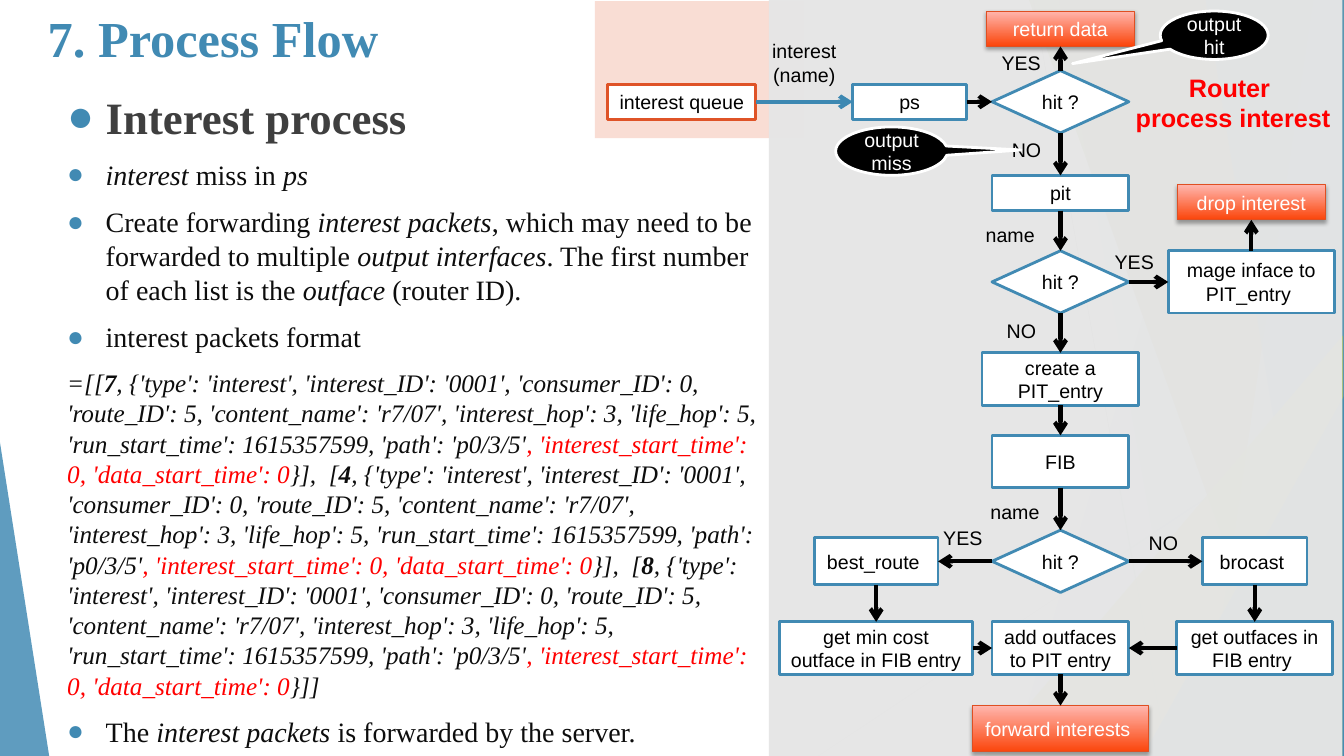
from lxml import etree
from pptx import Presentation
from pptx import util as u
from pptx.dml.color import RGBColor
from pptx.enum import shapes, text
from pptx.oxml import ns

Cm, Pt = u.Cm, u.Pt
SHAPE = shapes.MSO_SHAPE
CENTER = text.PP_ALIGN.CENTER
JUSTIFY = text.PP_ALIGN.JUSTIFY
BLUE = RGBColor(0x41, 0x8A, 0xB3)
ARROW_BLUE = RGBColor(0x3D, 0x88, 0xB2)
PALE_BLUE = RGBColor(0x89, 0xB8, 0xD4)
LIME = RGBColor(0xA6, 0xB7, 0x27)
OLIVE = RGBColor(0x7C, 0x89, 0x1D)
ORANGE = RGBColor(0xDF, 0x53, 0x27)
ORANGE_EDGE = RGBColor(0xDF, 0x4F, 0x22)
ORANGE_DEEP = RGBColor(0xFB, 0x45, 0x0B)
ORANGE_PALE = RGBColor(0xFF, 0xB6, 0xAE)
PINK = RGBColor(0xF9, 0xDD, 0xD4)
GREY = RGBColor(0xE6, 0xE6, 0xE6)
RULE_DARK = RGBColor(0xBF, 0xBF, 0xBF)
RULE_LIGHT = RGBColor(0xD8, 0xD8, 0xD8)
HEADING = RGBColor(0x3F, 0x3F, 0x3F)
INK = RGBColor(0x0D, 0x0D, 0x0D)
RED = RGBColor(0xFF, 0, 0)
BLACK = RGBColor(0, 0, 0)
WHITE = RGBColor(0xFF, 0xFF, 0xFF)
SERIF, SANS = "Times New Roman", "Arial"

FACETS = [(31.19, 25.5, BLUE, 29), (26.67, 30.05, BLUE, 20), (25.93, 32.79, OLIVE, 69),
          (33.1, 30.28, PALE_BLUE, 69), (30.38, 33.48, BLUE, 64)]
TRIANGLES = [(24.82, 8.46, 9.02, 10.59, LIME, 71, 1), (28.8, 9.98, 5.07, 9.07, BLUE, 80, 1),
             (0, 11.15, 1.24, 7.9, BLUE, 84, 0)]
STEPS = {
    "queue": ("interest queue", 15.32, 2.12, 3.73, 0.89),
    "ps": ("ps", 21.49, 2.12, 2.87, 0.89),
    "pit": ("pit", 25, 4.42, 3.45, 0.89),
    "mage": ("mage inface to PIT_entry ", 29.44, 6.32, 4.19, 1.57),
    "create": ("create a PIT_entry", 24.75, 8.89, 3.95, 1.32),
    "fib": ("FIB", 25, 10.97, 3.45, 1.32),
    "best": ("best_route ", 20.52, 13.55, 3.12, 1.19),
    "brocast": ("brocast ", 30.3, 13.55, 2.64, 1.19),
    "min cost": ("get min cost outface in FIB entry ", 19.64, 15.67, 4.88, 1.32),
    "add": ("add outfaces to PIT entry", 25, 15.67, 3.45, 1.32),
    "outfaces": ("get outfaces in FIB entry ", 29.65, 15.67, 3.94, 1.32),
}
DECISIONS = {"ps hit": 1.78, "pit hit": 6.32, "fib hit": 13.36}
RESULTS = {
    "return": ("return data", 24.86, 0.28, 3.73, 0.89),
    "drop": ("drop interest", 29.67, 4.65, 3.73, 0.89),
    "forward": ("forward interests ", 24.51, 17.78, 4.43, 1.17),
}
TOP, LEFT, BOTTOM, RIGHT = range(4)
FLOWS = [("ps", RIGHT, "ps hit", LEFT), ("ps hit", TOP, "return", BOTTOM),
         ("ps hit", BOTTOM, "pit", TOP), ("pit", BOTTOM, "pit hit", TOP),
         ("pit hit", RIGHT, "mage", LEFT), ("mage", TOP, "drop", BOTTOM),
         ("pit hit", BOTTOM, "create", TOP), ("create", BOTTOM, "fib", TOP),
         ("fib", BOTTOM, "fib hit", TOP), ("fib hit", LEFT, "best", RIGHT),
         ("fib hit", RIGHT, "brocast", LEFT), ("best", BOTTOM, "min cost", TOP),
         ("brocast", BOTTOM, "outfaces", TOP), ("min cost", RIGHT, "add", LEFT),
         ("outfaces", LEFT, "add", RIGHT), ("add", BOTTOM, "forward", TOP)]
LABELS = [("YES", 24.99, 1.17, 1.6), ("NO", 25.25, 3.35, 1.32), ("name", 24.59, 5.49, 1.88),
          ("YES", 27.84, 6.17, 1.6), ("NO", 25.12, 7.9, 1.32), ("name", 24.71, 12.47, 1.88),
          ("YES", 23.52, 13.13, 1.6), ("NO", 28.7, 13.26, 1.32)]
CALLOUTS = [("output miss", 21.06, 3.2, 2.82, 1.157, -0.024),
            ("output hit", 29.24, 0.28, 2.72, -1.313, 0.586)]
PACKET = (", {'type': 'interest', 'interest_ID': '0001', 'consumer_ID': 0, 'route_ID': 5, "
          "'content_name': 'r7/07', 'interest_hop': 3, 'life_hop': 5, "
          "'run_start_time': 1615357599, 'path': 'p0/3/5'")
TIMES = ", 'interest_start_time': 0, 'data_start_time': 0"


def add_xml(parent, tag, **attributes):
    """Append a DrawingML element."""
    return etree.SubElement(parent, ns.qn(tag), attributes)


def add_span(para, words, size, color, font=SANS, bold=False, italic=False):
    """Add one formatted run."""
    span = para.add_run()
    span.text = words
    span.font.size, span.font.name = Pt(size), font
    span.font.bold, span.font.italic = bold, italic
    span.font.color.rgb = color


def paint(box, fill, line=None, alpha=None, weight=2):
    """Set fill, outline and transparency of a shape."""
    box.shadow.inherit = False
    box.fill.solid()
    box.fill.fore_color.rgb = fill
    if alpha is not None:
        color = box._element.spPr.find(".//" + ns.qn("a:srgbClr"))
        add_xml(color, "a:alpha", val=str(alpha * 1000))
    if line is None:
        box.line.fill.background()
    else:
        box.line.color.rgb, box.line.width = line, Pt(weight)


def add_box(page, kind, left, top, width, height, fill, line=None, alpha=None):
    """Add a painted preset shape."""
    box = page.shapes.add_shape(kind, Cm(left), Cm(top), Cm(width), Cm(height))
    paint(box, fill, line, alpha)
    return box


def write(box, words, color=BLACK):
    """Centre a caption in a shape."""
    frame = box.text_frame
    frame.word_wrap, frame.vertical_anchor = True, text.MSO_ANCHOR.MIDDLE
    frame.paragraphs[0].alignment = CENTER
    add_span(frame.paragraphs[0], words, 14, color)


def add_label(page, lines, left, top, width, height=0.86, size=14, color=BLACK,
              bold=False, align=None):
    """Add a text box with one paragraph per line."""
    frame = page.shapes.add_textbox(Cm(left), Cm(top), Cm(width), Cm(height)).text_frame
    frame.word_wrap = True
    for index, words in enumerate(lines):
        para = frame.add_paragraph() if index else frame.paragraphs[0]
        para.alignment = align
        add_span(para, words, size, color, bold=bold)


def add_line(page, ends, color, weight):
    """Add a straight connector without shadow."""
    line = page.shapes.add_connector(shapes.MSO_CONNECTOR.STRAIGHT, *map(Cm, ends))
    line.line.color.rgb, line.line.width = color, Pt(weight)
    add_xml(line._element.spPr, "a:effectLst")
    return line


def add_flow(page, start, start_side, end, end_side, color=BLACK):
    """Join two nodes with an arrow."""
    flow = add_line(page, (0, 0, 1, 1), color, 3)
    flow.begin_connect(start, start_side)
    flow.end_connect(end, end_side)
    add_xml(flow.line._get_or_add_ln(), "a:tailEnd", type="arrow")


def add_result(page, words, *place):
    """Add a glossy orange result box."""
    box = add_box(page, SHAPE.RECTANGLE, *place, ORANGE_DEEP)
    box.fill.gradient()
    box.fill.gradient_angle = 90
    for stop, color in zip(box.fill.gradient_stops, (ORANGE_DEEP, ORANGE_PALE)):
        stop.color.rgb = color
    box.line.color.rgb, box.line.width = ORANGE_EDGE, Pt(0.75)
    effects = box._element.spPr.find(ns.qn("a:effectLst"))
    shadow = add_xml(effects, "a:outerShdw", blurRad=str(Pt(3.1)), dist=str(Pt(1.8)),
                     dir="5400000", rotWithShape="0")
    add_xml(add_xml(shadow, "a:srgbClr", val="000000"), "a:alpha", val="35000")
    write(box, words, WHITE)
    return box


def add_backdrop(page):
    """Draw the faceted background and the two panels."""
    add_line(page, (26.04, 0, 29.41, 19.05), RULE_DARK, 0.75)
    add_line(page, (33.87, 10.24, 20.62, 19.05), RULE_LIGHT, 0.75)
    for top_x, bottom_x, color, alpha in FACETS:
        outline = page.shapes.build_freeform(Cm(top_x), 0)
        outline.add_line_segments([(Cm(33.87), 0), (Cm(33.87), Cm(19.05)),
                                   (Cm(bottom_x), Cm(19.05))])
        paint(outline.convert_to_shape(), color, alpha=alpha)
    for *place, color, alpha, tip in TRIANGLES:
        add_box(page, SHAPE.ISOSCELES_TRIANGLE, *place, color, alpha=alpha).adjustments[0] = tip
    add_box(page, SHAPE.RECTANGLE, 14.99, 0.03, 5.28, 3.45, PINK)
    add_box(page, SHAPE.RECTANGLE, 19.38, 0, 14.45, 19.05, GREY, alpha=97)


def place_frame(page, holder, left, top, width, height, anchor):
    """Bring a placeholder forward, place it and return its text frame."""
    page.shapes._spTree.append(holder._element)
    holder.left, holder.top, holder.width, holder.height = map(Cm, (left, top, width, height))
    frame = holder.text_frame
    frame.word_wrap, frame.auto_size = True, text.MSO_AUTO_SIZE.NONE
    frame.vertical_anchor = anchor
    return frame


def add_item(frame, spans, size=20, bullet=True, align=None, color=INK):
    """Add a list paragraph from (words, style) pairs: b bold, i italic, r red."""
    first = not frame.paragraphs[0].runs
    para = frame.paragraphs[0] if first else frame.add_paragraph()
    para.alignment, para.line_spacing = align or text.PP_ALIGN.LEFT, 1.0
    para.space_before = Pt(0 if first else 10)
    props = para._p.get_or_add_pPr()
    props.set("marL", str(Cm(1.27 if bullet else 0.3)))
    props.set("indent", str(Cm(-0.97 if bullet else 0)))
    if bullet:
        add_xml(add_xml(props, "a:buClr"), "a:srgbClr", val=str(BLUE))
        add_xml(props, "a:buFont", typeface=SERIF)
        add_xml(props, "a:buChar", char="●")
    else:
        add_xml(props, "a:buNone")
    for words, style in spans:
        add_span(para, words, size, RED if "r" in style else color, SERIF,
                 "b" in style, "i" in style)


def fill_text(page):
    """Write the title and the list."""
    title, body = page.placeholders
    frame = place_frame(page, title, 0, 0.03, 25.96, 2.16, text.MSO_ANCHOR.MIDDLE)
    frame.margin_left, frame.margin_bottom = Cm(1.2), Cm(0.28)
    para = frame.paragraphs[0]
    para.alignment, para.line_spacing = text.PP_ALIGN.LEFT, 0.9
    add_span(para, "7. Process Flow", 36, BLUE, SERIF, bold=True)

    frame = place_frame(page, body, 1.14, 2.13, 18.19, 16.92, text.MSO_ANCHOR.TOP)
    add_item(frame, [("Interest process", "b")], 32, align=JUSTIFY, color=HEADING)
    add_item(frame, [("interest ", "i"), ("miss in ", ""), ("ps", "i")])
    add_item(frame, [("Create forwarding ", ""), ("interest packets", "i"),
                     (", which may need to be forwarded to multiple ", ""),
                     ("output interfaces", "i"), (". The first number of each list is the ", ""),
                     ("outface", "i"), (" (router ID).", "")])
    add_item(frame, [("interest packets format", "")])
    code = []
    for opening, router in (("=[[", "7"), ("}],  [", "4"), ("}],  [", "8")):
        code += [(opening, "i"), (router, "bi"), (PACKET, "i"), (TIMES, "ir")]
    add_item(frame, code + [("}]]", "i")], 18, bullet=False)
    add_item(frame, [("The ", ""), ("interest packets", "i"),
                     (" is forwarded by the server.", "")], align=JUSTIFY)


def add_flowchart(page):
    """Draw the nodes, arrows, labels and callouts."""
    nodes = {}
    for name, (words, *place) in STEPS.items():
        edge = ORANGE if name == "queue" else BLUE
        nodes[name] = add_box(page, SHAPE.RECTANGLE, *place, WHITE, edge)
        write(nodes[name], words)
    for name, top in DECISIONS.items():
        nodes[name] = add_box(page, SHAPE.DIAMOND, 25, top, 3.45, 1.57, WHITE, BLUE)
        write(nodes[name], "hit ?")
    for name, result in RESULTS.items():
        nodes[name] = add_result(page, *result)
    add_flow(page, nodes["queue"], RIGHT, nodes["ps"], LEFT, ARROW_BLUE)
    for start, start_side, end, end_side in FLOWS:
        add_flow(page, nodes[start], start_side, nodes[end], end_side)
    for words, *place in LABELS:
        add_label(page, [words], *place)
    add_label(page, ["interest (name)"], 19.05, 0.86, 2.44, 1.45, align=CENTER)
    add_label(page, ["Router ", "process interest"], 28.32, 1.7, 5.51, 1.8, 18, RED, True, CENTER)
    for words, left, top, width, *tip in CALLOUTS:
        callout = add_box(page, SHAPE.OVAL_CALLOUT, left, top, width, 1.22, BLACK, WHITE)
        callout.adjustments[0], callout.adjustments[1] = tip
        write(callout, words, WHITE)


def main():
    """Build the process flow slide."""
    deck = Presentation()
    deck.slide_width, deck.slide_height = Cm(33.87), Cm(19.05)
    page = deck.slides.add_slide(deck.slide_layouts[1])
    add_backdrop(page)
    fill_text(page)
    add_flowchart(page)
    deck.save("out.pptx")


if __name__ == "__main__":
    main()
